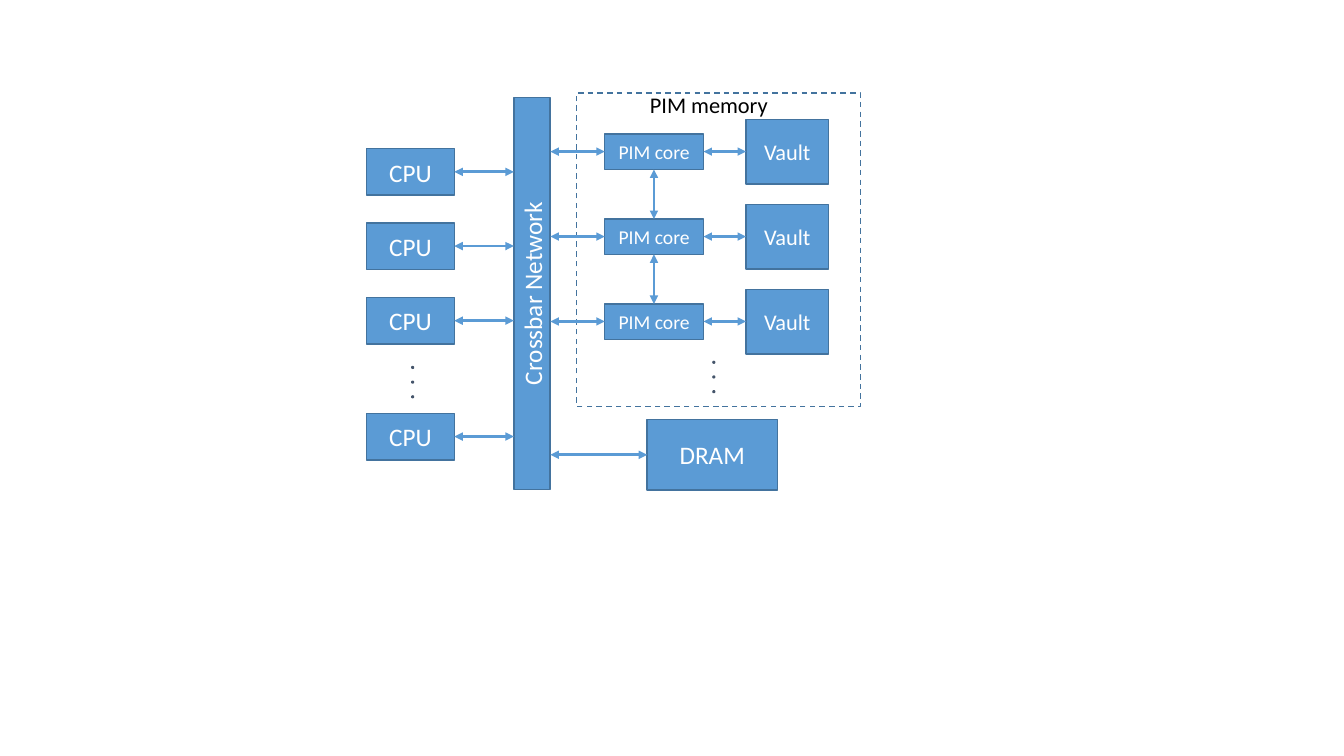
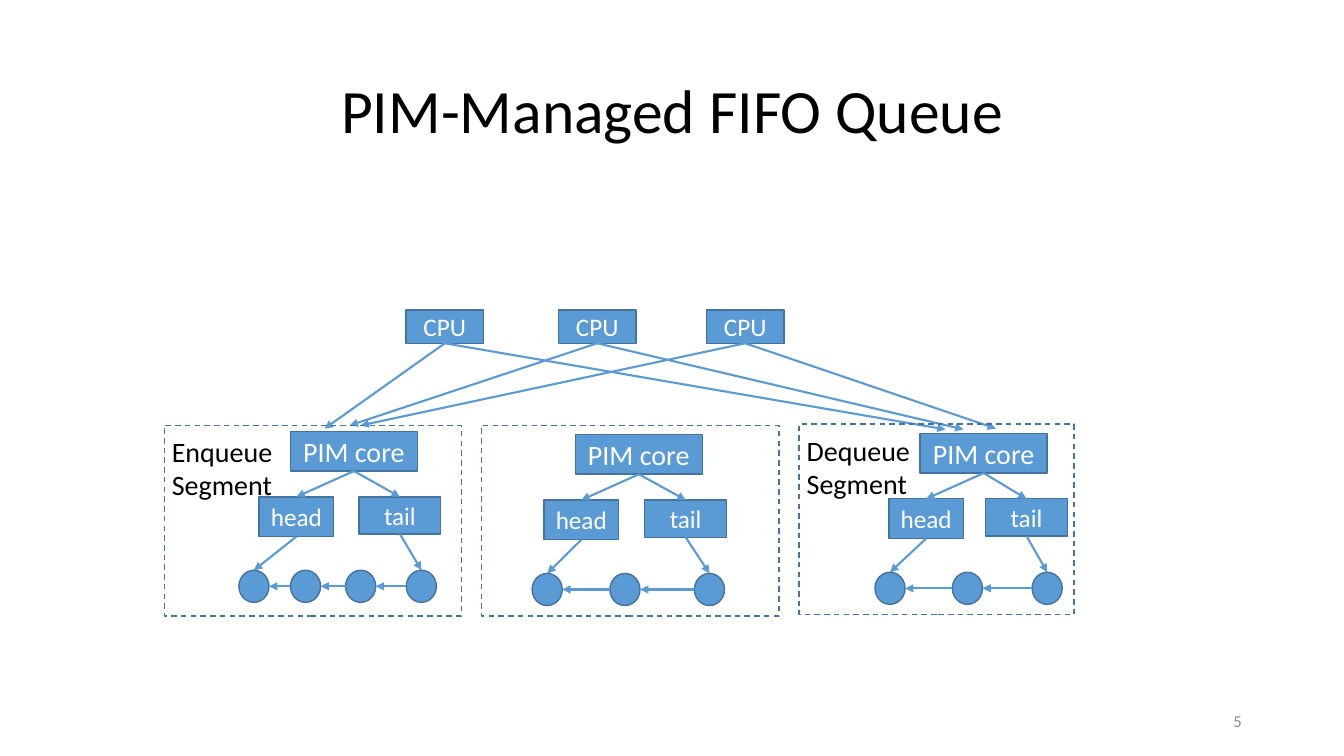
"""Builds two slides on processing-in-memory: the architecture and a FIFO queue."""
from lxml import etree
from pptx import Presentation
from pptx.dml.color import RGBColor
from pptx.enum.dml import MSO_LINE
from pptx.enum.shapes import MSO_CONNECTOR, MSO_SHAPE
from pptx.enum.text import MSO_ANCHOR as ANCHOR, PP_ALIGN as ALIGN
from pptx.oxml.ns import qn
from pptx.util import Cm, Pt

rgb = RGBColor.from_string
BLUE, EDGE, SLATE = "5B9BD5", "43739E", "44546A"
WHITE, BLACK, GREY = "FFFFFF", "000000", "8C8C8C"
FONT = "Calibri"
RECT, OVAL = MSO_SHAPE.RECTANGLE, MSO_SHAPE.OVAL


def block(kind, left, top, width, height, text="", size=18, color=WHITE, fill=BLUE,
          edge=EDGE, align=ALIGN.CENTER, anchor=ANCHOR.MIDDLE):
    box = [Cm(v) for v in (left, top, width, height)]
    if kind is None:
        part = slide.shapes.add_textbox(*box)
    else:
        part = slide.shapes.add_shape(kind, *box)
        part.shadow.inherit = False
        if fill:
            part.fill.solid()
            part.fill.fore_color.rgb = rgb(fill)
        else:
            part.fill.background()
        if edge:
            part.line.color.rgb = rgb(edge)
            part.line.width = Pt(1)
        else:
            part.line.fill.background()
    frame = part.text_frame
    frame.word_wrap = True
    frame.vertical_anchor = anchor
    for i, words in enumerate(text.split("\n") if text else []):
        paragraph = frame.add_paragraph() if i else frame.paragraphs[0]
        paragraph.alignment = align
        run = paragraph.add_run()
        run.text = words
        run.font.name = FONT
        run.font.size = Pt(size)
        run.font.color.rgb = rgb(color)
    return part


def arrow(x1, y1, x2, y2, weight=1.5, ends=("tailEnd",)):
    link = slide.shapes.add_connector(MSO_CONNECTOR.STRAIGHT, Cm(x1), Cm(y1), Cm(x2), Cm(y2))
    link.line.color.rgb = rgb(BLUE)
    link.line.width = Pt(weight)
    outline = link.line._get_or_add_ln()
    for end in ends:
        etree.SubElement(outline, qn("a:" + end), type="triangle")
    etree.SubElement(link._element.spPr, qn("a:effectLst"))


deck = Presentation()
deck.slide_width, deck.slide_height = Cm(33.87), Cm(19.05)
blank = deck.slide_layouts[6]

slide = deck.slides.add_slide(blank)
both = dict(weight=2, ends=("headEnd", "tailEnd"))
bus_left, bus_right = 12.95, 13.87

block(RECT, 8.47, 6.94, 9.88, 0.91, "Crossbar Network").rotation = 270
memory = block(RECT, 14.53, 2.34, 7.16, 7.9, fill=None)
memory.line.dash_style = MSO_LINE.DASH
block(None, 16.13, 2.16, 4.62, 0.94, "PIM memory", 16, BLACK, align=ALIGN.LEFT, anchor=ANCHOR.TOP)

for middle in (4.33, 6.2, 8.08, 11):
    block(RECT, 9.24, middle - 0.58, 2.21, 1.17, "CPU")
    arrow(11.45, middle, bus_left, middle, **both)

row_step = 2.14
for row in range(3):
    middle = 3.82 + row * row_step
    block(RECT, 15.24, middle - 0.44, 2.49, 0.89, "PIM core", 14)
    block(RECT, 18.8, middle - 0.81, 2.08, 1.63, "Vault", 16)
    arrow(bus_right, middle, 15.24, middle, **both)
    arrow(17.73, middle, 18.8, middle, **both)
    if row:
        arrow(16.48, middle - 0.44, 16.48, middle - row_step + 0.45, **both)

block(RECT, 16.31, 10.57, 3.28, 1.78, "DRAM")
arrow(bus_right, 11.46, 16.31, 11.46, **both)

for dot_left, first_top in ((10.36, 9.22), (17.95, 9.09)):
    for dot in range(3):
        block(OVAL, dot_left, first_top + dot * 0.37, 0.08, 0.08, fill=SLATE, edge=None)

slide = deck.slides.add_slide(blank)
title = block(None, 2.34, 1.02, 29.21, 3.68, "PIM-Managed FIFO Queue", 44, BLACK)
title.text_frame.paragraphs[0].line_spacing = 0.9
block(None, 23.93, 17.65, 7.62, 1.02, "5", 12, GREY, align=ALIGN.RIGHT)

requests = [
    (11.21, (8.18, 10.8), (23.83, 10.82)),
    (15.05, (8.81, 10.72), (24.28, 10.82)),
    (18.78, (9.09, 10.72), (25.1, 10.8)),
]
for center, enqueue, dequeue in requests:
    block(RECT, center - 0.98, 7.81, 1.96, 0.84, "CPU")
    for target in (enqueue, dequeue):
        arrow(center, 8.65, *target)

segments = [
    (4.14, 10.72, 7.49, "Enqueue\nSegment", 7.32, 10.87, 9.05, (6.02, 7.32, 8.71, 10.24)),
    (12.14, 10.72, 7.49, "", 14.5, 10.95, 16.25, (13.41, 15.37, 17.5)),
    (20.14, 10.69, 6.93, "Dequeue\nSegment", 23.19, 10.92, 24.84, (22.05, 24, 26.01)),
]
node_width, node_height = 0.76, 0.81
for left, top, width, label, core_left, core_top, tail_left, nodes in segments:
    segment = block(RECT, left, top, width, 4.8, fill=None)
    segment.line.dash_style = MSO_LINE.DASH
    if label:
        block(None, left - 0.06, top + 0.1, 3.6, 1.96, label, 20, BLACK,
              align=ALIGN.LEFT, anchor=ANCHOR.TOP)
    block(RECT, core_left, core_top, 3.2, 1, "PIM core", 20)
    pointer_top, node_top = core_top + 1.65, core_top + 3.5
    pointers = [
        ("head", core_left - 0.79, 1.88, 1, nodes[0]),
        ("tail", tail_left, 2.06, 0.94, nodes[-1]),
    ]
    for name, pointer_left, pointer_width, pointer_height, node in pointers:
        center = pointer_left + pointer_width / 2
        block(RECT, pointer_left, pointer_top, pointer_width, pointer_height, name)
        arrow(core_left + 1.6, core_top + 1, center, pointer_top)
        arrow(center, pointer_top + pointer_height, node + node_width / 2, node_top)
    for node in nodes:
        block(OVAL, node, node_top, node_width, node_height)
    link_y = node_top + node_height / 2
    for older, newer in zip(nodes, nodes[1:]):
        arrow(newer, link_y, older + node_width, link_y)

deck.save("out.pptx")
